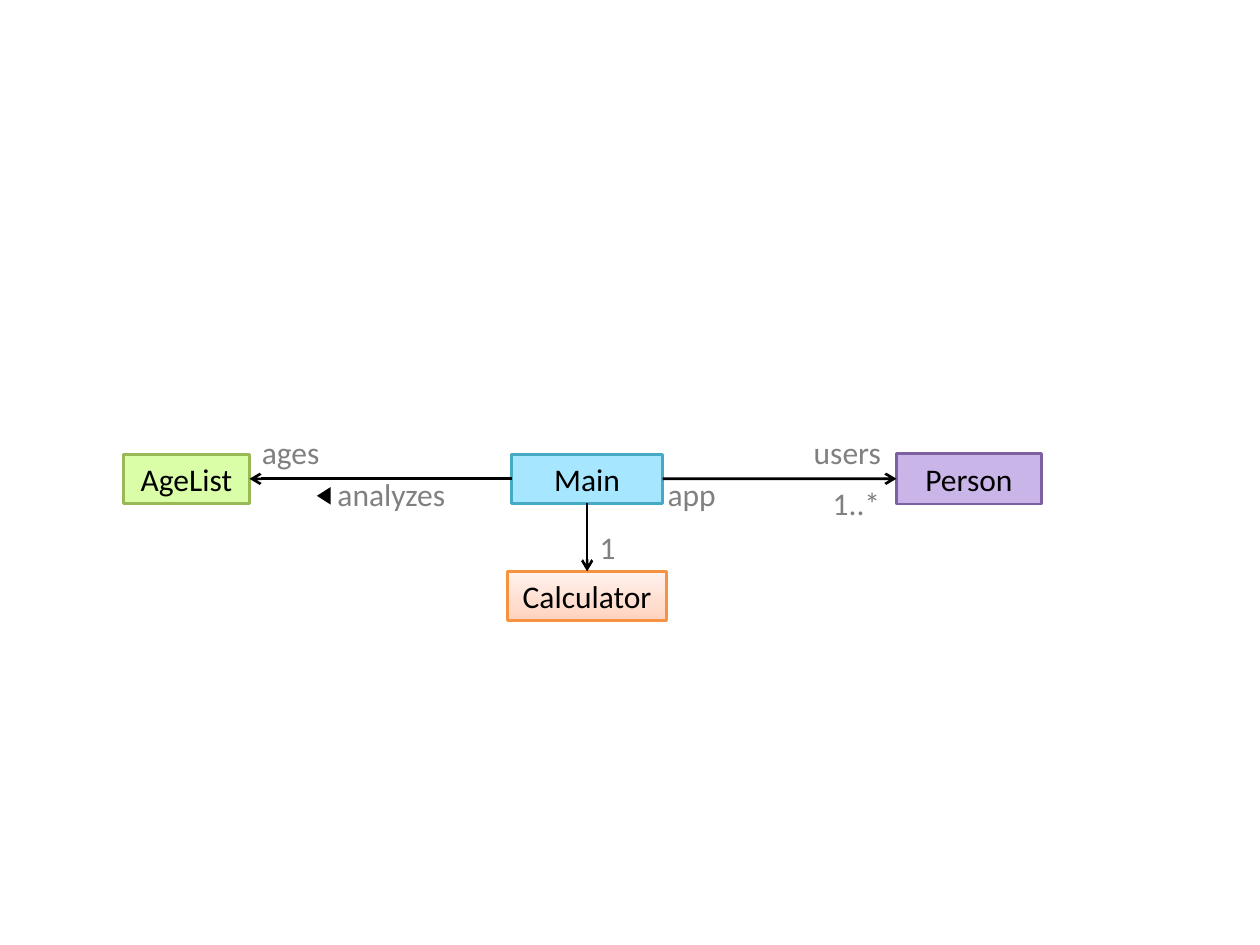
from copy import deepcopy

from lxml.etree import SubElement
from pptx import Presentation
from pptx.dml.color import RGBColor
from pptx.enum.shapes import MSO_CONNECTOR, MSO_SHAPE
from pptx.enum.text import MSO_ANCHOR, PP_ALIGN
from pptx.oxml.ns import qn
from pptx.util import Inches, Pt

TOP, LEFT, BOTTOM, RIGHT = range(4)
ROW_CENTER = 3.8
CLASS_HEIGHT = 0.39


def color(value):
    """Turn a hex string into a colour."""
    return RGBColor.from_string(value)


def write_text(shape, text, ink="000000", align=PP_ALIGN.LEFT, anchor=MSO_ANCHOR.TOP, wrap=True):
    """Write one formatted line of text into a shape."""
    frame = shape.text_frame
    frame.word_wrap = wrap
    frame.vertical_anchor = anchor
    para = frame.paragraphs[0]
    para.alignment = align
    span = para.add_run()
    span.text = text
    span.font.name = "Calibri"
    span.font.size = Pt(18)
    span.font.color.rgb = color(ink)


def fill_gradient(shape, stops):
    """Fill a shape from bottom to top with (position, colour) stops."""
    shape.fill.gradient()
    shape.fill.gradient_angle = 90
    stop_list = next(shape._element.iter(qn("a:gsLst")))
    while len(stop_list) < len(stops):
        stop_list.append(deepcopy(stop_list[-1]))
    for stop, (position, value) in zip(shape.fill.gradient_stops, stops):
        stop.position = position
        stop.color.rgb = color(value)


def add_class(page, name, center_x, center_y, width, fill, outline, height=CLASS_HEIGHT):
    """Add a class box around its centre; the fill is a colour or a list of stops."""
    box = page.shapes.add_shape(
        MSO_SHAPE.RECTANGLE, Inches(center_x - width / 2), Inches(center_y - height / 2),
        Inches(width), Inches(height))
    box.shadow.inherit = False
    if isinstance(fill, str):
        box.fill.solid()
        box.fill.fore_color.rgb = color(fill)
    else:
        fill_gradient(box, fill)
    box.line.color.rgb = color(outline)
    box.line.width = Pt(1.5)
    write_text(box, name, align=PP_ALIGN.CENTER, anchor=MSO_ANCHOR.MIDDLE, wrap=False)
    return box


def add_association(page, source, source_side, target, target_side):
    """Join two class boxes with an open arrow pointing at the target."""
    arrow = page.shapes.add_connector(MSO_CONNECTOR.STRAIGHT, 0, 0, 0, 0)
    arrow.begin_connect(source, source_side)
    arrow.end_connect(target, target_side)
    arrow.line.color.rgb = color("000000")
    arrow.line.width = Pt(1.5)
    SubElement(arrow.line._get_or_add_ln(), qn("a:tailEnd"), type="arrow")
    SubElement(arrow._element.spPr, qn("a:effectLst"))


def add_label(page, text, left, top, width=0.78):
    """Add a grey role, multiplicity or association label."""
    label = page.shapes.add_textbox(Inches(left), Inches(top), Inches(width), Inches(0.4))
    write_text(label, text, ink="808080")


def add_direction_marker(page, left, top, width, height):
    """Add the black triangle that shows the reading direction."""
    marker = page.shapes.add_shape(
        MSO_SHAPE.ISOSCELES_TRIANGLE, Inches(left), Inches(top), Inches(width), Inches(height))
    marker.rotation = 270
    marker.shadow.inherit = False
    marker.fill.solid()
    marker.fill.fore_color.rgb = color("000000")
    marker.line.fill.background()


def add_class_diagram(page):
    """Place the classes, their associations and the labels."""
    main_class = add_class(page, "Main", 4.66, ROW_CENTER, 1.2, "A7E6FF", "46AAC5")
    age_list = add_class(page, "AgeList", 1.48, ROW_CENTER, 1, "DAFDA7", "98B955")
    person = add_class(page, "Person", 7.69, ROW_CENTER, 1.15, "C9B5E8", "7D60A0", height=0.4)
    peach = [(0, "FFD2BD"), (0.35, "FFDED0"), (1, "FFF2ED")]
    calculator = add_class(page, "Calculator", 4.66, 4.73, 1.26, peach, "F69240")

    add_association(page, main_class, RIGHT, person, LEFT)
    add_association(page, main_class, LEFT, age_list, RIGHT)
    add_association(page, main_class, BOTTOM, calculator, TOP)

    add_label(page, "ages", 1.98, 3.39)
    add_label(page, "users", 6.36, 3.39)
    add_label(page, "1", 4.66, 4.14)
    add_label(page, "1..*", 6.51, 3.79, width=0.99)
    add_direction_marker(page, 2.5, 3.88, 0.14, 0.11)
    add_label(page, "analyzes", 2.58, 3.72, width=1.09)
    add_label(page, "app", 5.2, 3.72)


def main():
    """Build the deck and save it."""
    deck = Presentation()
    deck.slide_width, deck.slide_height = Inches(10), Inches(7.5)
    page = deck.slides.add_slide(deck.slide_layouts[6])
    add_class_diagram(page)
    deck.save("out.pptx")


if __name__ == "__main__":
    main()
